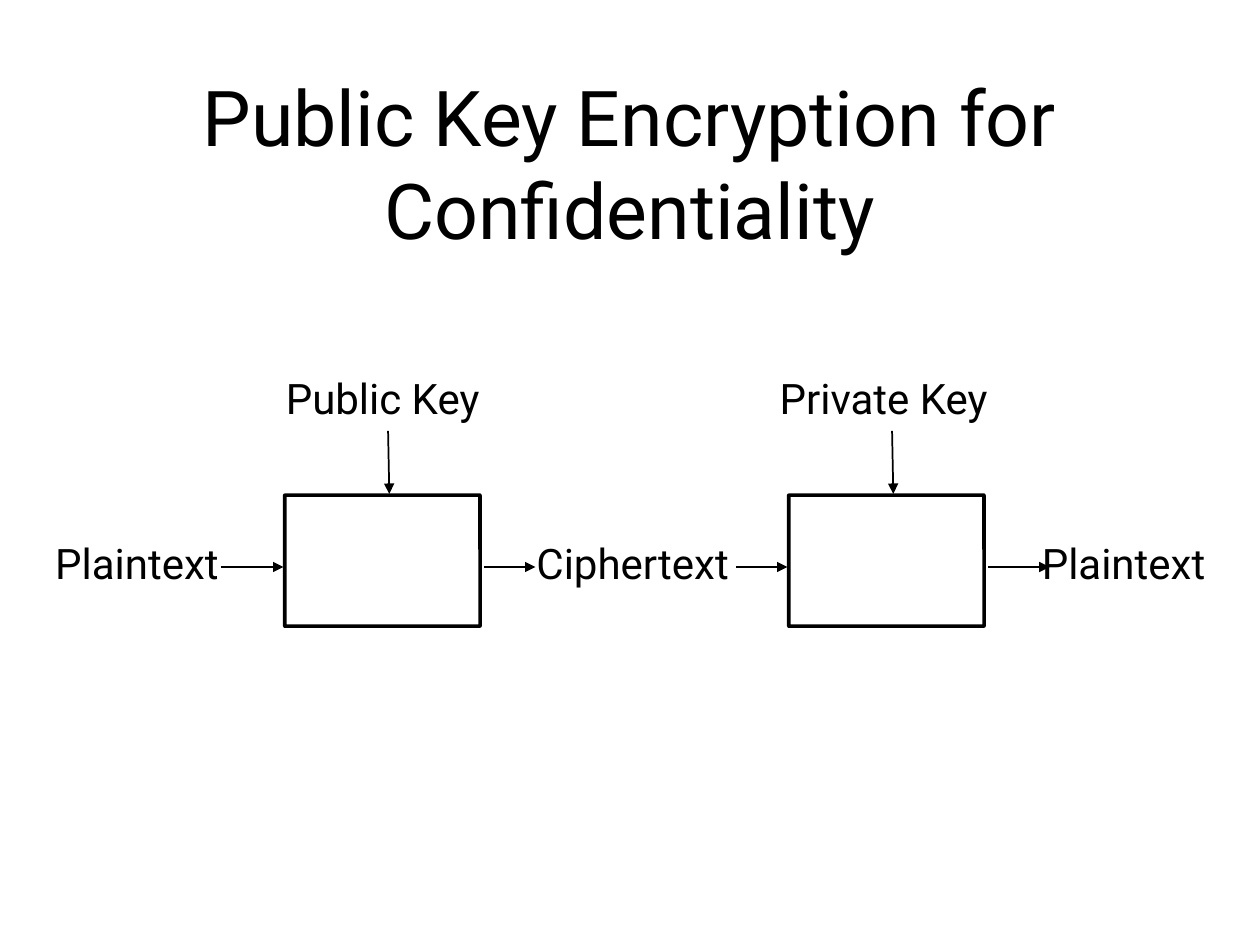
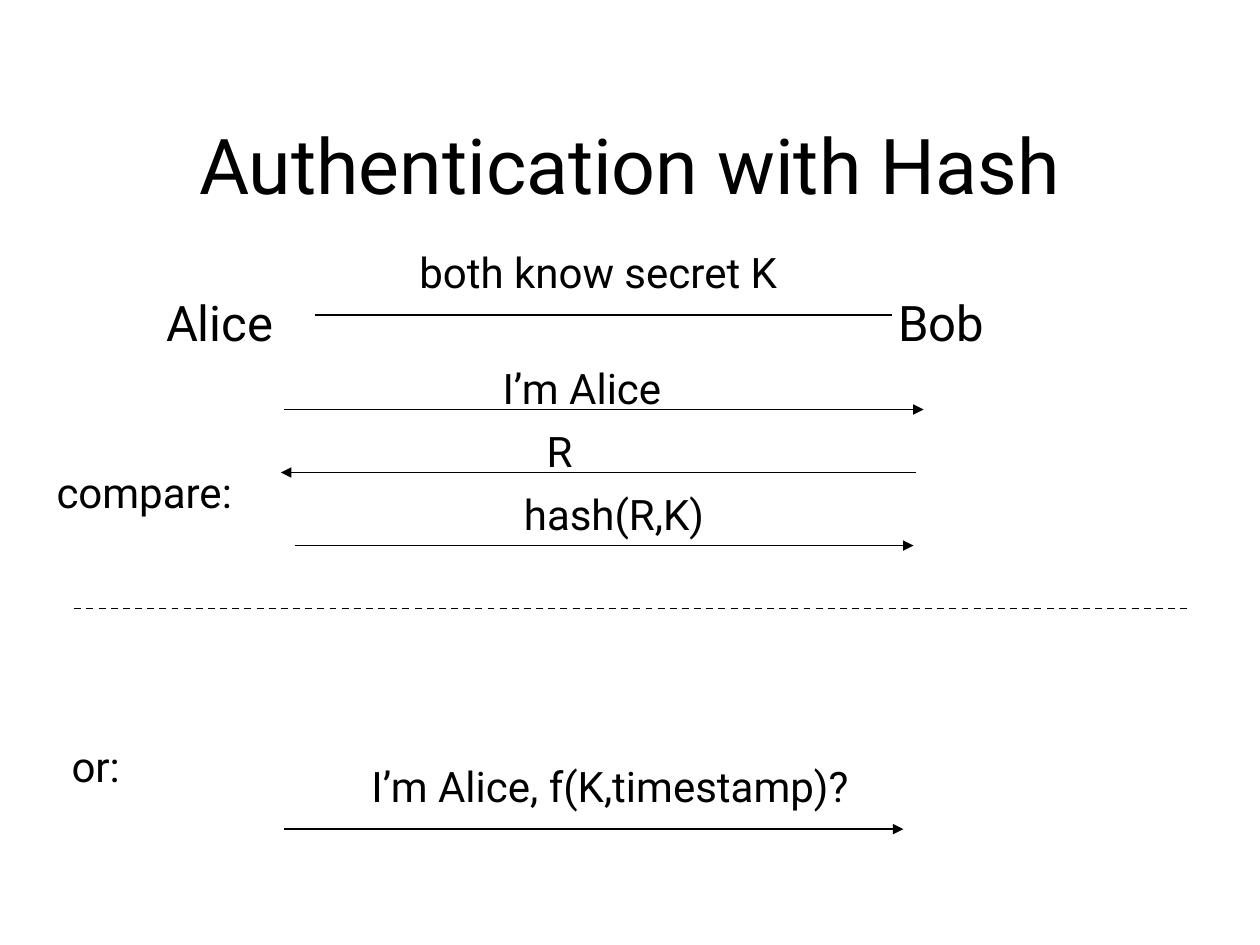
from lxml.etree import SubElement as Sub
from pptx import Presentation as Deck
from pptx.dml.color import RGBColor as RGB
from pptx.enum.dml import MSO_LINE as Dash
from pptx.enum.shapes import MSO_CONNECTOR as Conn, MSO_SHAPE as Shape
from pptx.enum.text import MSO_ANCHOR as Anchor, MSO_AUTO_SIZE as Auto, PP_ALIGN as Align
from pptx.oxml.ns import qn
from pptx.util import Inches, Pt


def tint(code):
    return RGB.from_string(code)


def put(item, form):
    for name, value in form.items():
        setattr(item, name, value)


class Pen:
    """Draws styled elements on the current slide."""

    ink, paper, face = "000000", "FFFFFF", "Roboto"
    inset = {
        "margin_left": Inches(0.1), "margin_right": Inches(0.1),
        "margin_top": Inches(0.05), "margin_bottom": Inches(0.05),
    }
    head = {"word_wrap": True, "vertical_anchor": Anchor.MIDDLE}
    note = {"word_wrap": False, "auto_size": Auto.SHAPE_TO_FIT_TEXT}

    def __init__(self):
        self.deck = Deck()
        put(self.deck, {"slide_width": Inches(10), "slide_height": Inches(7.5)})

    def page(self, title, top, high):
        self.slide = self.deck.slides.add_slide(self.deck.slide_layouts[6])
        fill = self.slide.background.fill
        fill.solid()
        fill.fore_color.rgb = tint(self.paper)
        self.text(title, 0.75, top, 8.5, high, 44, Align.CENTER, self.head)

    def text(self, words, left, top, wide, high, size, align, form):
        area = map(Inches, (left, top, wide, high))
        frame = self.slide.shapes.add_textbox(*area).text_frame
        put(frame, {**self.inset, **form})
        para = frame.paragraphs[0]
        para.text = words
        put(para, {"alignment": align, "line_spacing": 1.01})
        put(para.font, {"size": Pt(size), "name": self.face})
        para.font.color.rgb = tint(self.ink)

    def label(self, words, left, top, wide, size=24):
        high = 0.51 if size == 24 else 0.57
        self.text(words, left, top, wide, high, size, Align.LEFT, self.note)

    def box(self, left, top, wide, high):
        area = map(Inches, (left, top, wide, high))
        box = self.slide.shapes.add_shape(Shape.ROUNDED_RECTANGLE, *area)
        box.adjustments[0] = 0.002
        box.shadow.inherit = False
        box.fill.solid()
        box.fill.fore_color.rgb = tint(self.paper)
        box.line.color.rgb = tint(self.ink)
        box.line.width = Pt(2)

    def line(self, x1, y1, x2, y2, tip=True, dash=None):
        ends = map(Inches, (x1, y1, x2, y2))
        link = self.slide.shapes.add_connector(Conn.STRAIGHT, *ends)
        link.line.color.rgb = tint(self.ink)
        put(link.line, {"width": Pt(1), "dash_style": dash})
        props = link._element.spPr
        if tip:
            Sub(props.find(qn("a:ln")), qn("a:tailEnd"), type="triangle")
        Sub(props, qn("a:effectLst"))

    def across(self, y, x1, x2, **form):
        self.line(x1, y, x2, y, **form)


def cipher(pen):
    pen.page("Public Key Encryption for Confidentiality", 0.48, 1.61)
    for left in (2.26, 6.26):
        pen.box(left, 3.93, 1.55, 1.04)
        pen.line(left + 0.82, 3.42, left + 0.83, 3.92)
    for words, left, wide in (
        ("Plaintext", 0.34, 1.57),
        ("Ciphertext", 4.16, 1.84),
        ("Plaintext", 8.17, 1.57),
    ):
        pen.label(words, left, 4.21, wide)
    for ends in ((1.75, 2.25), (3.84, 4.25), (5.84, 6.25), (7.84, 8.33)):
        pen.across(4.5, *ends)
    pen.label("Public Key", 2.17, 2.9, 1.8)
    pen.label("Private Key", 6.09, 2.9, 1.94)


def proof(pen):
    pen.page("Authentication with Hash", 0.67, 1.25)
    pen.label("Alice", 1.22, 2.27, 1.06, 28)
    pen.label("Bob", 7.03, 2.27, 0.93, 28)
    for words, left, top, wide in (
        ("both know secret K", 3.23, 1.9, 3.2),
        ("I’m Alice", 3.89, 2.82, 1.51),
        ("R", 4.24, 3.32, 0.41),
        ("hash(R,K)", 4.06, 3.82, 1.66),
        ("compare:", 0.35, 3.65, 1.68),
        ("or:", 0.47, 5.82, 0.63),
        ("I’m Alice, f(K,timestamp)?", 2.85, 5.98, 4.13),
    ):
        pen.label(words, left, top, wide)
    pen.across(2.5, 2.5, 7.08, tip=False)
    for y, x1, x2 in (
        (3.25, 2.25, 7.33),
        (3.75, 7.27, 2.23),
        (4.33, 2.34, 7.25),
        (6.58, 2.25, 7.17),
    ):
        pen.across(y, x1, x2)
    pen.across(4.83, 0.59, 9.42, tip=False, dash=Dash.DASH)


def main():
    pen = Pen()
    cipher(pen)
    proof(pen)
    pen.deck.save("out.pptx")


if __name__ == "__main__":
    main()
